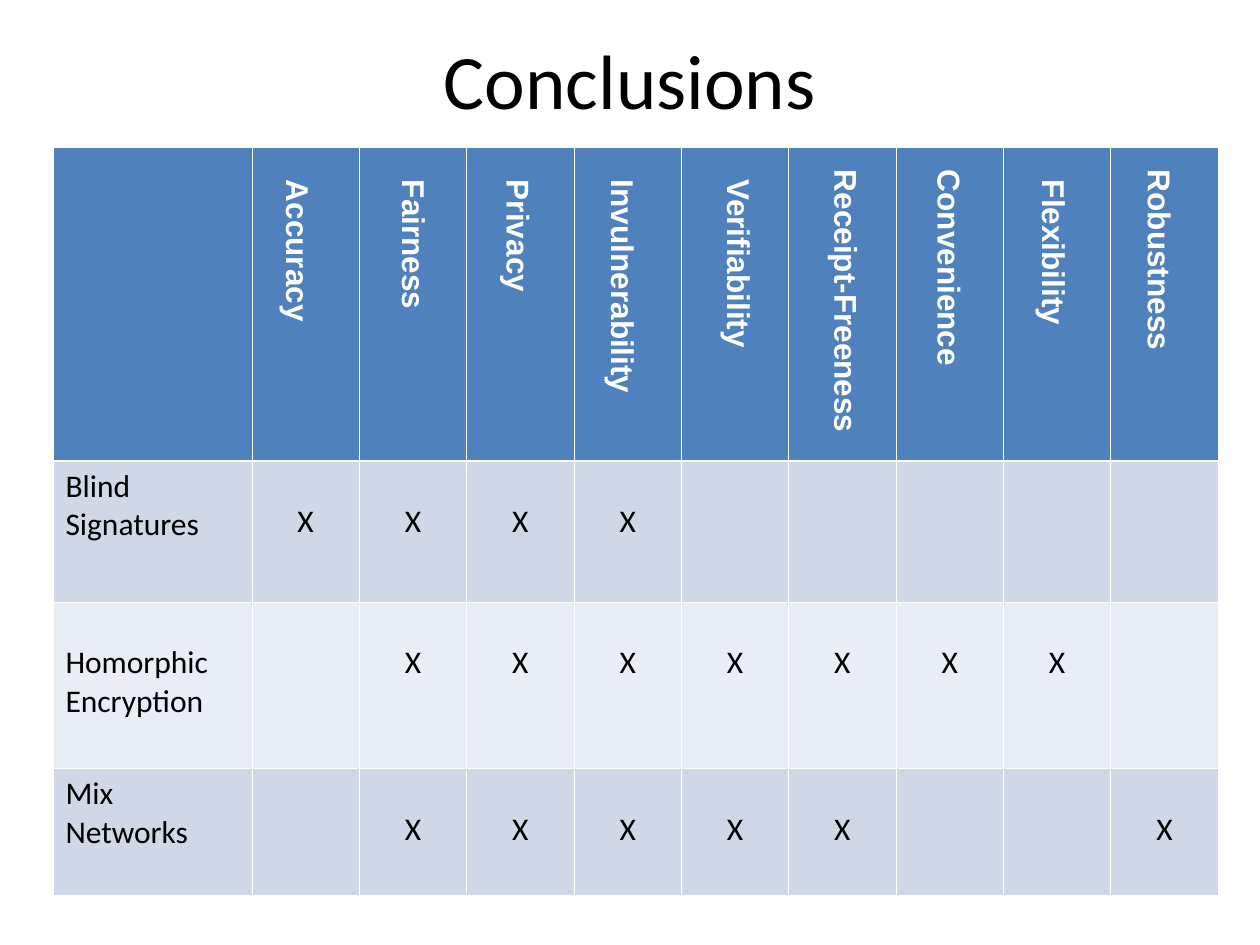
"""Build the Conclusions slide comparing voting schemes by property."""
from lxml.etree import SubElement
from pptx import Presentation
from pptx.dml.color import RGBColor
from pptx.enum.text import MSO_ANCHOR, MSO_AUTO_SIZE, PP_ALIGN
from pptx.oxml.ns import qn
from pptx.util import Inches, Pt

TITLE = "Conclusions"
PROPERTIES = [  # label, centre x, top, length
    ("Accuracy", 2.37, 1.33, 1.42),
    ("Fairness", 3.29, 1.33, 1.42),
    ("Privacy", 4.12, 1.33, 1.42),
    ("Invulnerability", 4.95, 1.33, 2.08),
    ("Verifiability", 5.87, 1.33, 1.83),
    ("Receipt-Freeness", 6.72, 1.25, 2.67),
    ("Convenience", 7.54, 1.25, 2.17),
    ("Flexibility", 8.37, 1.33, 1.42),
    ("Robustness", 9.21, 1.25, 2.25),
]
SCHEMES = [
    ("Blind Signatures", {"Accuracy", "Fairness", "Privacy", "Invulnerability"}, 0.05),
    ("Homorphic Encryption", {"Fairness", "Privacy", "Invulnerability", "Verifiability",
                              "Receipt-Freeness", "Convenience", "Flexibility"}, 0.33),
    ("Mix Networks", {"Fairness", "Privacy", "Invulnerability", "Verifiability",
                      "Receipt-Freeness", "Robustness"}, 0.05),
]
ROW_HEIGHTS = [2.49, 1.12, 1.32, 1.01]
ROW_FILLS = ["4F81BD", "D0D8E8", "E9EDF4", "D0D8E8"]
TABLE_LEFT, TABLE_TOP, TABLE_WIDTH = 0.42, 1.17, 9.25
SCHEME_WIDTH, LABEL_HEIGHT, MARK_TOP = 1.58, 0.4, 0.33
THIN, THICK = 0.45, 1.47


def color(hex_code):
    return RGBColor.from_string(hex_code)


def write(frame, text, size, font, ink, bold=False, align=PP_ALIGN.LEFT):
    paragraph = frame.paragraphs[0]
    paragraph.alignment = align
    run = paragraph.add_run()
    run.text = text
    run.font.size, run.font.name, run.font.bold = Pt(size), font, bold
    run.font.color.rgb = color(ink)


def add_label(slide, left, top, width, height):
    label = slide.shapes.add_textbox(*map(Inches, (left, top, width, height)))
    label.text_frame.word_wrap = True
    return label


def style_cell(cell, row):
    widths = {"L": THIN, "R": THIN, "T": THICK if row == 1 else THIN,
              "B": THICK if row == 0 else THIN}
    properties = cell._tc.get_or_add_tcPr()
    for side, width in widths.items():
        border = SubElement(properties, qn(f"a:ln{side}"), w=str(int(Pt(width))))
        SubElement(SubElement(border, qn("a:solidFill")), qn("a:srgbClr"), val="FFFFFF")
    cell.fill.solid()
    cell.fill.fore_color.rgb = color(ROW_FILLS[row])


def add_matrix(slide):
    matrix = slide.shapes.add_table(
        len(SCHEMES) + 1, len(PROPERTIES) + 1, Inches(TABLE_LEFT), Inches(TABLE_TOP),
        Inches(TABLE_WIDTH), Inches(sum(ROW_HEIGHTS))).table
    matrix.first_row = matrix.horz_banding = False
    property_width = (TABLE_WIDTH - SCHEME_WIDTH) / len(PROPERTIES)
    for index, column in enumerate(matrix.columns):
        column.width = Inches(property_width if index else SCHEME_WIDTH)
    for index, height in enumerate(ROW_HEIGHTS):
        matrix.rows[index].height = Inches(height)
        for cell in matrix.rows[index].cells:
            style_cell(cell, index)
    for row, (scheme, satisfied, name_top) in enumerate(SCHEMES, 1):
        name_cell = matrix.cell(row, 0)
        name_cell.margin_top = Inches(name_top)
        write(name_cell.text_frame, scheme, 18, "Calibri", "000000")
        for column, (label, *_) in enumerate(PROPERTIES, 1):
            if label in satisfied:
                mark_cell = matrix.cell(row, column)
                mark_cell.margin_top = Inches(MARK_TOP)
                write(mark_cell.text_frame, "X", 18, "Calibri", "000000",
                      align=PP_ALIGN.CENTER)


def main():
    deck = Presentation()
    deck.slide_width, deck.slide_height = Inches(10), Inches(7.5)
    slide = deck.slides.add_slide(deck.slide_layouts[6])
    heading = add_label(slide, 0.5, 0, 9, 1.25).text_frame
    heading.vertical_anchor = MSO_ANCHOR.MIDDLE
    write(heading, TITLE, 44, "Calibri", "000000", align=PP_ALIGN.CENTER)
    add_matrix(slide)
    for text, center, top, length in PROPERTIES:
        label = add_label(slide, center - length / 2, top + (length - LABEL_HEIGHT) / 2,
                          length, LABEL_HEIGHT)
        label.rotation = 90
        label.text_frame.auto_size = MSO_AUTO_SIZE.SHAPE_TO_FIT_TEXT
        write(label.text_frame, text, 18, "Arial", "FFFFFF", bold=True)
    deck.save("out.pptx")


if __name__ == "__main__":
    main()
